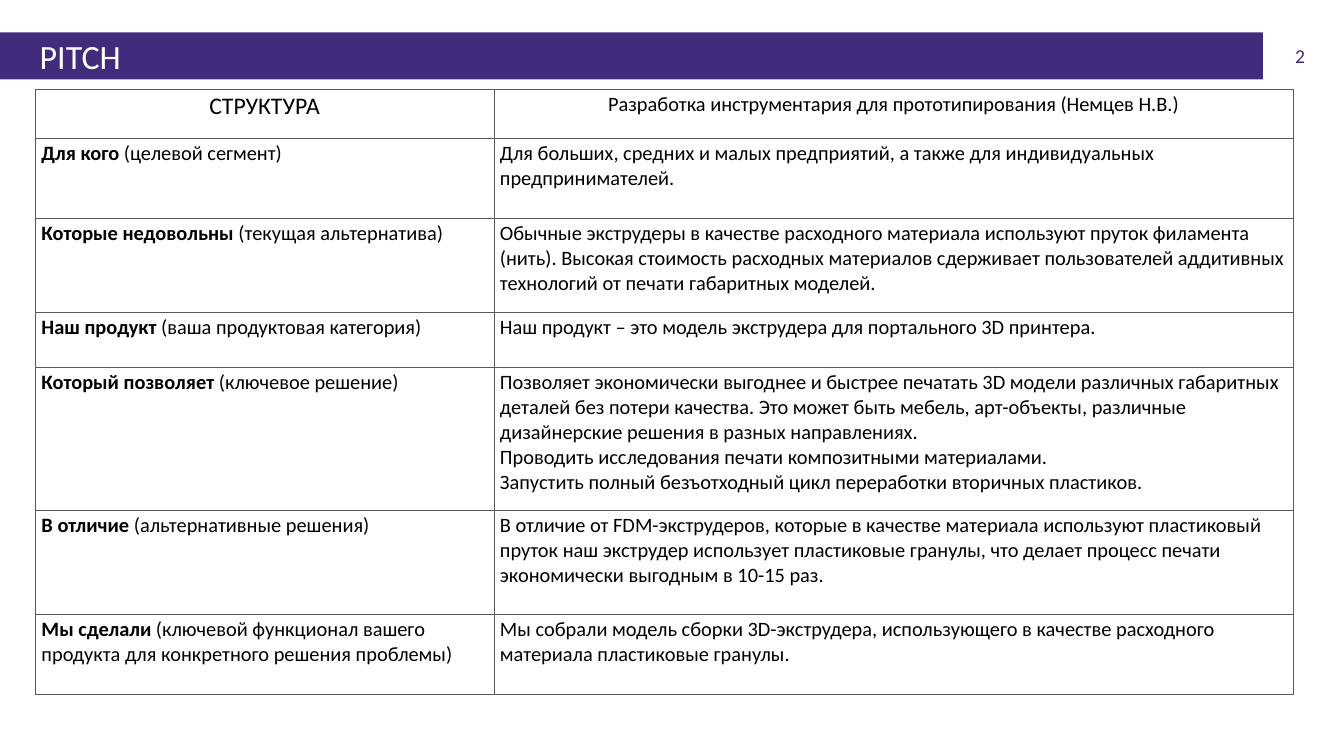
from lxml import etree
from pptx import Presentation
from pptx.dml.color import RGBColor
from pptx.enum.text import MSO_ANCHOR, MSO_AUTO_SIZE, PP_ALIGN as AL
from pptx.oxml.ns import qn
from pptx.util import Cm, Pt

PURPLE, WHITE, BLACK, GREY = "422B7D", "FFFFFF", "000000", "595959"
COLUMN_WIDTHS = (19.05, 33.22)
ROW_HEIGHTS = (2.03, 3.33, 3.91, 2.29, 5.94, 4.32, 3.33)
HEADINGS = (
    ("СТРУКТУРА", 28),
    ("Разработка инструментария для прототипирования (Немцев Н.В.)", 24),
)
# Bold lead, explanation, answer paragraphs
PITCH_ROWS = (
    ("Для кого", "(целевой сегмент)", (
        "Для больших, средних и малых предприятий, а также для индивидуальных "
        "предпринимателей.",)),
    ("Которые недовольны", "(текущая альтернатива)", (
        "Обычные экструдеры в качестве расходного материала используют пруток "
        "филамента (нить). Высокая стоимость расходных материалов сдерживает "
        "пользователей аддитивных технологий от печати габаритных моделей.",)),
    ("Наш продукт", "(ваша продуктовая категория)", (
        "Наш продукт – это модель экструдера для портального 3D принтера.",)),
    ("Который позволяет", "(ключевое решение)", (
        "Позволяет экономически выгоднее и быстрее печатать 3D модели различных "
        "габаритных деталей без потери качества. Это может быть мебель, "
        "арт-объекты, различные дизайнерские решения в разных направлениях.",
        "Проводить исследования печати композитными материалами.",
        "Запустить полный безъотходный цикл переработки вторичных пластиков.")),
    ("В отличие", "(альтернативные решения)", (
        "В отличие от FDM-экструдеров, которые в качестве материала используют "
        "пластиковый пруток наш экструдер использует пластиковые гранулы, что "
        "делает процесс печати экономически выгодным в 10-15 раз.",)),
    ("Мы сделали", "(ключевой функционал вашего продукта для конкретного решения "
     "проблемы)", (
        "Мы собрали модель сборки 3D-экструдера, использующего в качестве "
        "расходного материала пластиковые гранулы.",)),
)


def rgb(value):
    return RGBColor.from_string(value)


def add_text(p, text, size=24, color=BLACK, bold=False, align=AL.LEFT):
    p.alignment = align
    r = p.add_run()
    r.text = text
    r.font.name = "Calibri"
    r.font.size = Pt(size)
    r.font.bold = bold
    r.font.color.rgb = rgb(color)


def set_insets(tf, left, top, right, bottom):
    tf.margin_left, tf.margin_top = Cm(left), Cm(top)
    tf.margin_right, tf.margin_bottom = Cm(right), Cm(bottom)


def add_title_bar(s, text, left, top, width, height):
    sp = s.shapes.title
    sp.left, sp.top, sp.width, sp.height = map(Cm, (left, top, width, height))
    sp.fill.solid()
    sp.fill.fore_color.rgb = rgb(PURPLE)
    tf = sp.text_frame
    tf.auto_size = MSO_AUTO_SIZE.NONE
    tf.vertical_anchor = MSO_ANCHOR.MIDDLE
    set_insets(tf, 1.65, 0.13, 0.25, 0.13)
    add_text(tf.paragraphs[0], text, size=40, color=WHITE)


def add_page_number(s, number, left, top, width, height):
    tf = s.shapes.add_textbox(*map(Cm, (left, top, width, height))).text_frame
    tf.word_wrap = True
    set_insets(tf, 0, 0, 0, 0)
    add_text(tf.paragraphs[0], number, size=23.1, color=PURPLE, align=AL.RIGHT)


def frame_cell(cell):
    """Give the cell thin grey borders and no fill."""
    tcPr = cell._tc.get_or_add_tcPr()
    for side in ("a:lnL", "a:lnR", "a:lnT", "a:lnB"):
        ln = etree.SubElement(tcPr, qn(side), w=str(Pt(0.5)))
        fill = etree.SubElement(ln, qn("a:solidFill"))
        etree.SubElement(fill, qn("a:srgbClr"), val=GREY)
    cell.fill.background()


def add_pitch_table(s, left, top):
    box = map(Cm, (left, top, sum(COLUMN_WIDTHS), sum(ROW_HEIGHTS)))
    table = s.shapes.add_table(len(ROW_HEIGHTS), len(COLUMN_WIDTHS), *box).table
    table.first_row = table.horz_banding = False
    for column, width in zip(table.columns, COLUMN_WIDTHS):
        column.width = Cm(width)
    for row, height in zip(table.rows, ROW_HEIGHTS):
        row.height = Cm(height)
    for cell in table.iter_cells():
        frame_cell(cell)

    for i, (heading, size) in enumerate(HEADINGS):
        p = table.cell(0, i).text_frame.paragraphs[0]
        add_text(p, heading, size=size, align=AL.CENTER)
    for i, (lead, hint, answers) in enumerate(PITCH_ROWS, 1):
        p = table.cell(i, 0).text_frame.paragraphs[0]
        add_text(p, lead + " ", bold=True)
        add_text(p, hint)
        tf = table.cell(i, 1).text_frame
        for j, answer in enumerate(answers):
            add_text(tf.add_paragraph() if j else tf.paragraphs[0], answer)


def main():
    prs = Presentation()
    prs.slide_width, prs.slide_height = Cm(55.85), Cm(31.42)
    s = prs.slides.add_slide(prs.slide_layouts.get_by_name("Title Only"))
    add_page_number(s, "2", 52.48, 1.83, 1.75, 1)
    add_title_bar(s, "PITCH", 0, 1.35, 52.48, 1.95)
    add_pitch_table(s, 1.47, 3.71)
    prs.save("out.pptx")


if __name__ == "__main__":
    main()
